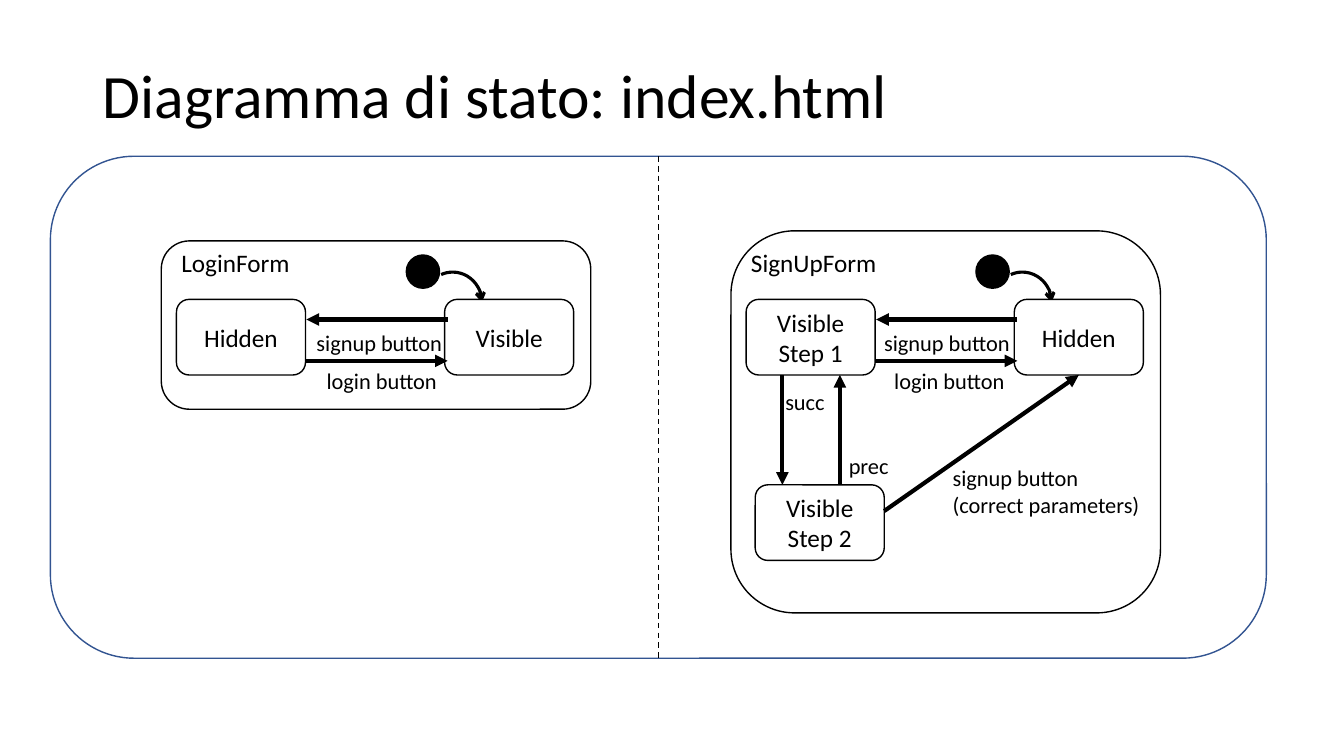
from lxml import etree
from pptx import Presentation
from pptx.dml.color import RGBColor
from pptx.enum.dml import MSO_LINE
from pptx.enum.shapes import MSO_CONNECTOR, MSO_SHAPE
from pptx.enum.text import MSO_ANCHOR, PP_ALIGN
from pptx.oxml.ns import qn
from pptx.util import Inches, Pt

BLACK = RGBColor(0, 0, 0)
WHITE = RGBColor(255, 255, 255)
BLUE = RGBColor(0x32, 0x54, 0x91)
ROUNDED = MSO_SHAPE.ROUNDED_RECTANGLE
OVAL = MSO_SHAPE.OVAL
ARC = MSO_SHAPE.ARC
STRAIGHT = MSO_CONNECTOR.STRAIGHT
DASH = MSO_LINE.DASH
MIDDLE = MSO_ANCHOR.MIDDLE
TOP = MSO_ANCHOR.TOP
CENTER = PP_ALIGN.CENTER
LEFT = PP_ALIGN.LEFT
STATE_TOP = 2.97
STATE_WIDTH, STATE_HEIGHT = 1.28, 0.75


class StateDiagram:
    """Draws state diagram elements in one style on the current slide."""

    font_name = "Calibri"

    def __init__(self, slide):
        self.slide = slide

    def fill_text(self, shape, lines, size, alignment, anchor, spacing=None):
        frame = shape.text_frame
        frame.word_wrap = True
        frame.vertical_anchor = anchor
        frame.text = "\n".join(lines)
        for paragraph in frame.paragraphs:
            paragraph.alignment = alignment
            paragraph.line_spacing = spacing
            paragraph.font.name = self.font_name
            paragraph.font.size = Pt(size)
            paragraph.font.color.rgb = BLACK

    def text(self, left, top, width, height, *lines, size=16, anchor=TOP, spacing=None):
        box = self.slide.shapes.add_textbox(*map(Inches, (left, top, width, height)))
        self.fill_text(box, lines, size, LEFT, anchor, spacing)

    def shape(self, kind, left, top, width, height, fill=None, line=BLACK, weight=1):
        shape = self.slide.shapes.add_shape(kind, *map(Inches, (left, top, width, height)))
        shape.shadow.inherit = False
        if fill is None:
            shape.fill.background()
        else:
            shape.fill.solid()
            shape.fill.fore_color.rgb = fill
        shape.line.color.rgb = line
        shape.line.width = Pt(weight)
        return shape

    def state(self, left, top, *lines):
        shape = self.shape(ROUNDED, left, top, STATE_WIDTH, STATE_HEIGHT, WHITE)
        self.fill_text(shape, lines, 18, CENTER, MIDDLE)
        return shape

    def arrowhead(self, shape, end, kind):
        outline = shape.element.spPr.find(qn("a:ln"))
        etree.SubElement(outline, qn(f"a:{end}")).set("type", kind)

    def line(self, start, finish, weight=1):
        connector = self.slide.shapes.add_connector(STRAIGHT, *map(Inches, start + finish))
        connector.line.color.rgb = BLACK
        connector.line.width = Pt(weight)
        etree.SubElement(connector.element.spPr, qn("a:effectLst"))
        return connector

    def transition(self, tip, origin):
        connector = self.line(tip, origin, weight=3)
        self.arrowhead(connector, "headEnd", "triangle")
        return connector

    def initial(self, left, top):
        self.shape(OVAL, left, top, 0.33, 0.33, BLACK)
        arc = self.shape(ARC, left + 0.17, top + 0.17, 0.58, 0.6, weight=2.25)
        arc.adjustments[0] = 148.466
        arc.adjustments[1] = 0
        self.arrowhead(arc, "tailEnd", "arrow")

    def form(self, name, left, top, height, left_state, right_state, caption_left):
        self.shape(ROUNDED, left, top, 4.26, height, WHITE)
        self.text(left + 0.1, 2.4, 1.65, 0.4, name, size=18)
        self.initial(left + 2.43, 2.53)
        self.state(left + 0.15, STATE_TOP, *left_state)
        right = self.state(left + 2.81, STATE_TOP, right_state)
        near, far = left + 1.44, left + 2.84
        self.transition((near, 3.17), (far, 3.17))
        self.transition((far, 3.58), (near, 3.58))
        self.text(caption_left, 3.22, 1.61, 0.37, "signup button")
        self.text(caption_left + 0.1, 3.59, 1.61, 0.37, "login button")
        return right


def main():
    presentation = Presentation()
    presentation.slide_width = Inches(13.33)
    presentation.slide_height = Inches(7.5)
    slide = presentation.slides.add_slide(presentation.slide_layouts[6])
    diagram = StateDiagram(slide)

    diagram.text(0.92, 0.4, 11.5, 1.16, "Diagramma di stato: index.html",
                 size=44, anchor=MIDDLE, spacing=0.9)
    page = diagram.shape(ROUNDED, 0.5, 1.55, 12.06, 4.98, line=BLUE)
    divider = diagram.line((6.53, 1.55), (6.53, 6.53))
    divider.line.dash_style = DASH
    divider.begin_connect(page, 0)
    divider.end_connect(page, 2)

    diagram.form("LoginForm", 1.6, 2.39, 1.67, ["Hidden"], "Visible", 3.04)
    hidden = diagram.form("SignUpForm", 7.25, 2.29, 3.79,
                          ["Visible", "Step 1"], "Hidden", 8.67)

    diagram.state(7.49, 4.81, "Visible", "Step 2")
    diagram.transition((7.76, 4.81), (7.76, 3.72))
    diagram.text(7.69, 3.8, 0.64, 0.37, "succ")
    diagram.transition((8.33, 3.72), (8.33, 4.81))
    diagram.text(8.32, 4.44, 0.64, 0.37, "prec")
    completed = diagram.transition((10.71, 3.72), (8.77, 5.07))
    completed.begin_connect(hidden, 2)
    diagram.text(9.35, 4.56, 2.16, 0.64, "signup button", "(correct parameters)")

    presentation.save("out.pptx")


if __name__ == "__main__":
    main()
